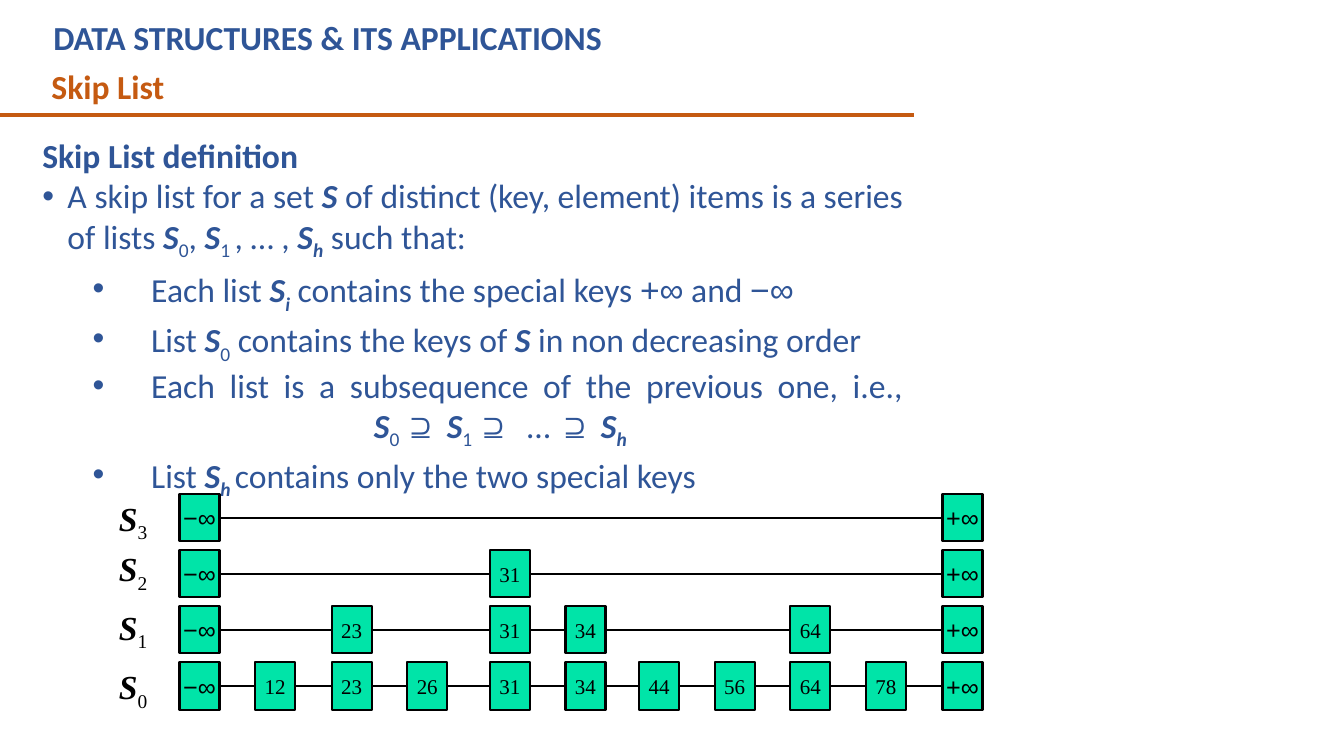
from dataclasses import dataclass

from lxml import etree
from pptx import Presentation
from pptx.dml.color import RGBColor
from pptx.enum import shapes, text
from pptx.oxml import ns
from pptx.util import Pt


@dataclass(frozen=True)
class Theme:
    blue: str = "2F5597"
    orange: str = "C55A11"
    green: str = "00E4A8"
    black: str = "000000"
    body_font: str = "Calibri"
    math_font: str = "Arial"
    diagram_font: str = "Times New Roman"
    body_size: float = 24
    infinity_size: float = 18
    key_size: float = 15


THEME = Theme()
LOW, HIGH = "−∞", "+∞"
PLAIN = {}
NAME = {"bold": True, "italic": True}
SUB = {"subscript": True}
NAME_SUB = {**NAME, **SUB}
MATH = {"font": THEME.math_font}

MAIN_POINT = [
    ("A skip list for a set ", PLAIN), ("S", NAME),
    (" of distinct (key, element) items is a series of lists ", PLAIN),
    ("S", NAME), ("0", SUB), (", ", PLAIN), ("S", NAME), ("1 ", SUB),
    (", … , ", PLAIN), ("S", NAME), ("h", NAME_SUB), (" such that:", PLAIN),
]
PROPERTIES = [
    [("Each list ", PLAIN), ("S", NAME), ("i", NAME_SUB),
     (" contains the special keys ", PLAIN), (HIGH, MATH), (" and ", PLAIN), (LOW, MATH)],
    [("List ", PLAIN), ("S", NAME), ("0", SUB), (" contains the keys of ", PLAIN),
     ("S ", NAME), ("in non decreasing order", PLAIN)],
    [("Each list is a subsequence of the previous one, i.e.,", PLAIN), ("\n", PLAIN),
     ("\t", PLAIN), ("S", NAME), ("0 ", SUB), ("⊇ ", MATH), ("S", NAME), ("1 ", SUB),
     ("⊇ ", MATH), (" … ", PLAIN), ("⊇ ", MATH), ("S", NAME), ("h", NAME_SUB)],
    [("List ", PLAIN), ("S", NAME), ("h ", NAME_SUB),
     ("contains only the two special keys", PLAIN)],
]

COLUMNS = {LOW: 128.2, "12": 182.2, "23": 236.9, "26": 290.9, "31": 349.9, "34": 403.9,
           "44": 456.5, "56": 510.5, "64": 564.5, "78": 618.5, HIGH: 673.2}
LEVELS = [
    ("3", 352.1, [LOW, HIGH]),
    ("2", 388.1, [LOW, "31", HIGH]),
    ("1", 429.8, [LOW, "23", "31", "34", "64", HIGH]),
    ("0", 472.3, list(COLUMNS)),
]
LEVEL_TOP, LEVEL_STEP = 352.8, 40.1
TILE_WIDTH, TILE_HEIGHT = 28.6, 33.8


def add_text(paragraph, words, *, font=THEME.body_font, size=THEME.body_size,
             color=THEME.blue, bold=False, italic=False, subscript=False):
    if words == "\n":
        paragraph.add_line_break()
        etree.SubElement(paragraph._p[-1], ns.qn("a:rPr"), sz=str(int(size * 100)))
        return
    run = paragraph.add_run()
    run.text = words
    run.font.name = font
    run.font.size = Pt(size)
    run.font.bold = bold
    run.font.italic = italic
    run.font.color.rgb = RGBColor.from_string(color)
    if subscript:
        run.font._element.set("baseline", "-25000")


def place(element, left, top, width, height):
    element.left, element.top = Pt(left), Pt(top)
    element.width, element.height = Pt(width), Pt(height)


def format_frame(frame, anchor=text.MSO_ANCHOR.TOP, wrap=True):
    frame.word_wrap = wrap
    frame.auto_size = text.MSO_AUTO_SIZE.NONE
    frame.vertical_anchor = anchor
    return frame


def set_indent(paragraph, margin, hanging, bullet=None, tab=None):
    properties = paragraph._p.get_or_add_pPr()
    properties.set("marL", str(Pt(margin)))
    properties.set("indent", str(-Pt(hanging)))
    if bullet:
        color = etree.SubElement(properties, ns.qn("a:buClr"))
        etree.SubElement(color, ns.qn("a:srgbClr"), val=THEME.blue)
        etree.SubElement(properties, ns.qn("a:buFont"), typeface=THEME.math_font)
        etree.SubElement(properties, ns.qn("a:buChar"), char=bullet)
    else:
        etree.SubElement(properties, ns.qn("a:buNone"))
    if tab:
        stops = etree.SubElement(properties, ns.qn("a:tabLst"))
        etree.SubElement(stops, ns.qn("a:tab"), pos=str(Pt(tab)), algn="l")


def add_item(paragraph, pieces, margin=0, hanging=0, bullet=None, tab=None,
             before=0, spacing=1.0):
    set_indent(paragraph, margin, hanging, bullet, tab)
    paragraph.alignment = text.PP_ALIGN.JUSTIFY
    paragraph.space_before = Pt(before)
    paragraph.line_spacing = spacing
    for words, style in pieces:
        add_text(paragraph, words, **style)


def finish_line(connector, color, weight):
    connector.line.color.rgb = RGBColor.from_string(color)
    connector.line.width = Pt(weight)
    etree.SubElement(connector._element.spPr, ns.qn("a:effectLst"))


def add_heading(slide):
    course = slide.shapes.add_textbox(Pt(31), Pt(8.6), Pt(590), Pt(36))
    add_text(format_frame(course.text_frame).paragraphs[0],
             "DATA STRUCTURES & ITS APPLICATIONS", bold=True)
    topic = slide.shapes.title
    place(topic, 29.5, 43.2, 630, 36)
    line = format_frame(topic.text_frame).paragraphs[0]
    line.alignment = text.PP_ALIGN.LEFT
    add_text(line, "Skip List", color=THEME.orange, bold=True)
    rule = slide.shapes.add_connector(shapes.MSO_CONNECTOR.STRAIGHT,
                                      Pt(0), Pt(82.1), Pt(653), Pt(82.1))
    finish_line(rule, THEME.orange, 3)


def add_definition(slide):
    definition = slide.placeholders[1]
    place(definition, 23, 96.4, 629.3, 260)
    frame = format_frame(definition.text_frame)
    frame.margin_top = frame.margin_bottom = Pt(0)
    add_item(frame.paragraphs[0], [("Skip List definition", {"bold": True})])
    add_item(frame.add_paragraph(), MAIN_POINT, margin=18, hanging=18, bullet="•")
    for pieces in PROPERTIES:
        add_item(frame.add_paragraph(), pieces, margin=77.8, hanging=41.8, bullet="•",
                 tab=236.9, before=6, spacing=0.9)


def add_tile(slide, key, top):
    tile = slide.shapes.add_shape(shapes.MSO_SHAPE.RECTANGLE, Pt(COLUMNS[key]), Pt(top),
                                  Pt(TILE_WIDTH), Pt(TILE_HEIGHT))
    tile.shadow.inherit = False
    tile.fill.solid()
    tile.fill.fore_color.rgb = RGBColor.from_string(THEME.green)
    tile.line.color.rgb = RGBColor.from_string(THEME.black)
    tile.line.width = Pt(1.5)
    frame = format_frame(tile.text_frame, text.MSO_ANCHOR.MIDDLE, wrap=False)
    line = frame.paragraphs[0]
    line.alignment = text.PP_ALIGN.CENTER
    if key in (LOW, HIGH):
        add_text(line, key, font=THEME.math_font, size=THEME.infinity_size, color=THEME.black)
    else:
        add_text(line, key, font=THEME.diagram_font, size=THEME.key_size, color=THEME.black)
    return tile


def add_link(slide, left_tile, right_tile):
    link = slide.shapes.add_connector(shapes.MSO_CONNECTOR.STRAIGHT, 0, 0, 0, 0)
    link.begin_connect(left_tile, 3)
    link.end_connect(right_tile, 1)
    finish_line(link, THEME.black, 1.5)


def add_level(slide, index, label_top, keys, top):
    label = slide.shapes.add_textbox(Pt(77.8), Pt(label_top), Pt(34.6), Pt(40.3))
    line = format_frame(label.text_frame, wrap=False).paragraphs[0]
    line.alignment = text.PP_ALIGN.CENTER
    for words, style in (("S", NAME), (index, SUB)):
        add_text(line, words, font=THEME.diagram_font, color=THEME.black, **style)
    tiles = [add_tile(slide, key, top) for key in keys]
    for left_tile, right_tile in zip(tiles, tiles[1:]):
        add_link(slide, left_tile, right_tile)


def main():
    deck = Presentation()
    deck.slide_width, deck.slide_height = Pt(960), Pt(540)
    slide = deck.slides.add_slide(deck.slide_layouts[1])
    add_heading(slide)
    add_definition(slide)
    for row, (index, label_top, keys) in enumerate(LEVELS):
        add_level(slide, index, label_top, keys, LEVEL_TOP + row * LEVEL_STEP)
    deck.save("out.pptx")


if __name__ == "__main__":
    main()
